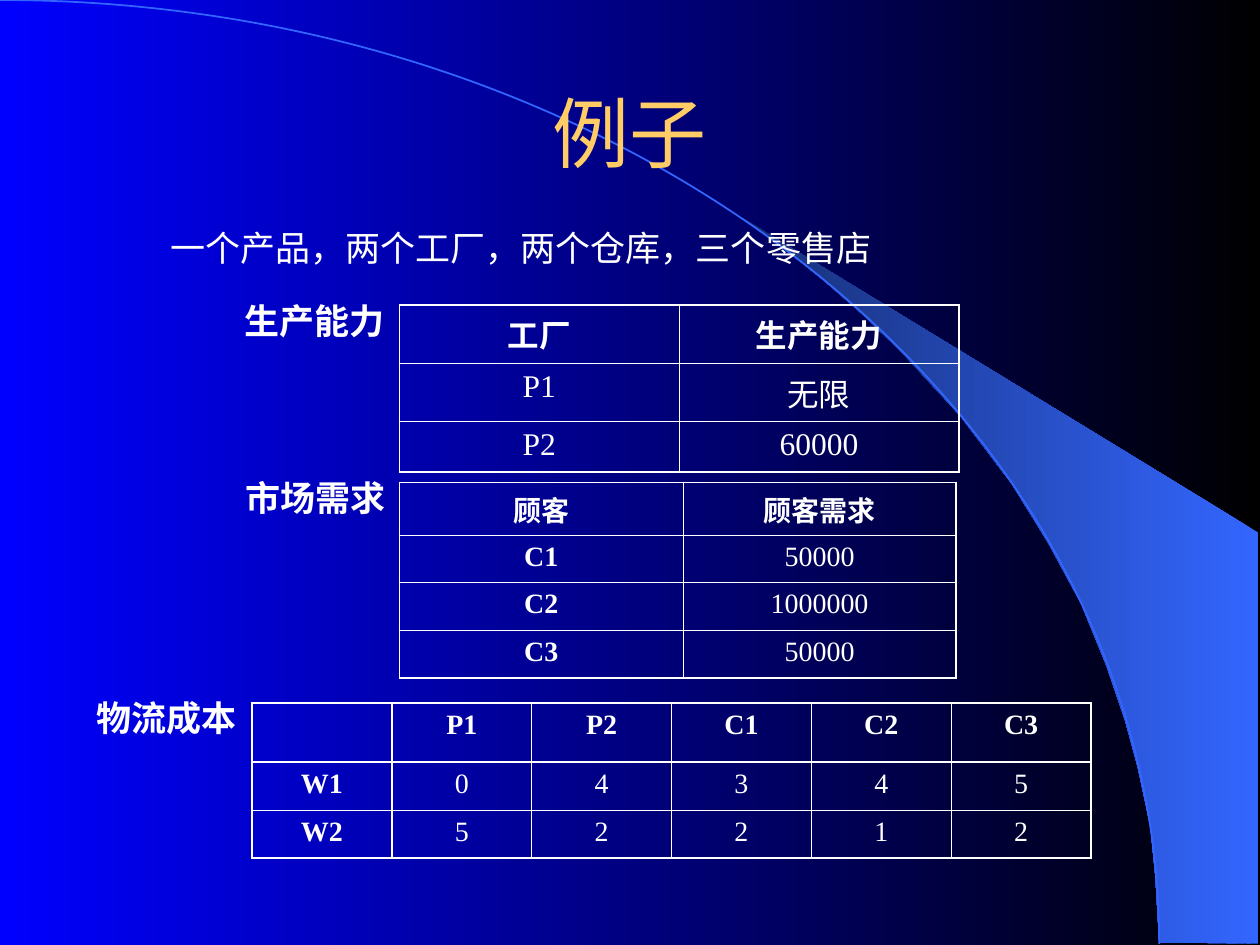
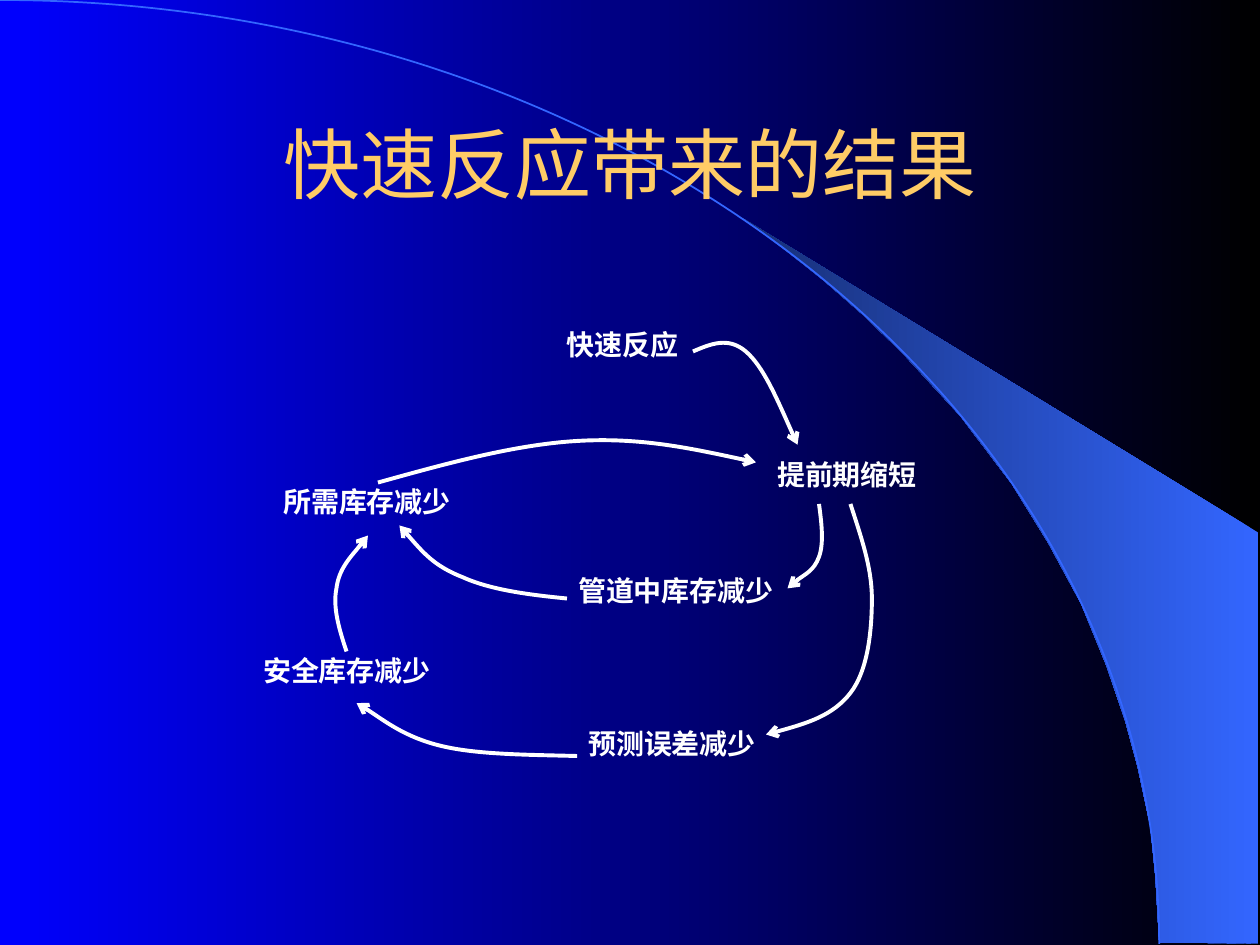
from lxml import etree
from pptx import Presentation
from pptx.dml.color import RGBColor
from pptx.enum.text import MSO_ANCHOR, MSO_AUTO_SIZE, PP_ALIGN
from pptx.oxml.ns import qn
from pptx.util import Inches, Pt

CENTER, LEFT = PP_ALIGN.CENTER, PP_ALIGN.LEFT
MIDDLE = MSO_ANCHOR.MIDDLE
GROW = MSO_AUTO_SIZE.SHAPE_TO_FIT_TEXT

BLACK = RGBColor(0x00, 0x00, 0x00)
BLUE = RGBColor(0x00, 0x00, 0xFF)
SKY = RGBColor(0x33, 0x66, 0xFF)
NAVY = RGBColor(0x17, 0x2F, 0x75)
GOLD = RGBColor(0xFF, 0xCC, 0x66)
WHITE = RGBColor(0xFF, 0xFF, 0xFF)

SERIF = "Times New Roman"
TITLE_FORMAT = {"name": "Arial", "size": Pt(44), "bold": False}
THICK, THIN = Pt(1.08), Pt(0.45)
INSET = 0.1

# Shared decoration, in inches
WEDGE = [(9.2, 7.48), (9.99, 7.49), (9.99, 4.23), (5.89, 1.73), (6.24, 1.99),
         (6.53, 2.22), (6.85, 2.5), (7.16, 2.8), (7.62, 3.3), (8.03, 3.84),
         (8.32, 4.31), (8.58, 4.79), (8.78, 5.28), (8.93, 5.72), (9.03, 6.09),
         (9.13, 6.56), (9.17, 6.96)]
ARC = [(0, 0), (5.08, 0), (9.2, 3.35), (9.2, 7.49)]

# Slide 1: example data; heavy_* number the heavy grid lines from 0
EXAMPLE_TITLE = "例子"
EXAMPLE_INTRO = "一个产品，两个工厂，两个仓库，三个零售店"
TABLES = [
    {"label": "生产能力", "label_at": (1.84, 2.33), "at": (3.17, 2.42), "size": 18,
     "columns": [2.22, 2.22], "rows": [0.46, 0.46, 0.4],
     "heavy_columns": (0, 2), "heavy_rows": (0, 3), "bold_columns": (),
     "cells": [["工厂", "生产能力"], ["P1", "无限"], ["P2", "60000"]]},
    {"label": "市场需求", "label_at": (1.85, 3.73), "at": (3.17, 3.83), "size": 16,
     "columns": [2.25, 2.17], "rows": [0.42, 0.37, 0.38, 0.38],
     "heavy_columns": (0, 2), "heavy_rows": (0, 4), "bold_columns": (0,),
     "cells": [["顾客", "顾客需求"], ["C1", "50000"], ["C2", "1000000"], ["C3", "50000"]]},
    {"label": "物流成本", "label_at": (0.67, 5.48), "at": (2, 5.58), "size": 16,
     "columns": [1.11] * 6, "rows": [0.47, 0.38, 0.38],
     "heavy_columns": (0, 1, 3, 6), "heavy_rows": (0, 1, 3), "bold_columns": (0,),
     "cells": [["", "P1", "P2", "C1", "C2", "C3"],
               ["W1", "0", "4", "3", "4", "5"],
               ["W2", "5", "2", "2", "1", "2"]]},
]

# Slide 2: loop diagram; each arrow is a start point, then two controls and an end per curve
LOOP_TITLE = "快速反应带来的结果"
LOOP_LABELS = {
    "快速反应": (4.4, 2.55), "提前期缩短": (6.07, 3.58), "管道中库存减少": (4.49, 4.5),
    "预测误差减少": (4.57, 5.72), "安全库存减少": (1.99, 5.14), "所需库存减少": (2.15, 3.8),
}
LOOP_ARROWS = [
    [(5.5, 2.79), (5.64, 2.73), (5.78, 2.67), (5.92, 2.79),
     (6.06, 2.91), (6.19, 3.22), (6.33, 3.53)],
    [(6.75, 4), (6.83, 4.25), (6.92, 4.5), (6.92, 4.75), (6.92, 5), (6.89, 5.32),
     (6.75, 5.5), (6.61, 5.68), (6.35, 5.76), (6.08, 5.83)],
    [(6.5, 4), (6.52, 4.15), (6.54, 4.31), (6.5, 4.42),
     (6.46, 4.53), (6.29, 4.62), (6.25, 4.67)],
    [(4.58, 6), (4.19, 5.99), (3.79, 5.99), (3.5, 5.92),
     (3.21, 5.85), (2.94, 5.64), (2.83, 5.58)],
    [(4.5, 4.75), (4.19, 4.72), (3.89, 4.68), (3.67, 4.58),
     (3.44, 4.49), (3.31, 4.33), (3.17, 4.17)],
    [(2.75, 5.17), (2.69, 4.99), (2.64, 4.82), (2.67, 4.67),
     (2.69, 4.51), (2.87, 4.32), (2.92, 4.25)],
    [(3, 3.83), (3.54, 3.68), (4.08, 3.53), (4.58, 3.5),
     (5.08, 3.47), (5.54, 3.57), (6, 3.67)],
]


def serif(size, bold=False):
    return {"name": SERIF, "size": Pt(size), "bold": bold}


def write(text_frame, text, font_format, color=WHITE, align=LEFT):
    paragraph = text_frame.paragraphs[0]
    paragraph.alignment = align
    paragraph.space_before = Pt(0)
    run = paragraph.add_run()
    run.text = text
    for name, value in font_format.items():
        setattr(run.font, name, value)
    run.font.color.rgb = color
    return paragraph


def place(shape, left, top, width, height):
    box = {"left": left, "top": top, "width": width, "height": height}
    for name, value in box.items():
        setattr(shape, name, Inches(value))


def fill_gradient(fill, first, last):
    fill.gradient()
    fill.gradient_angle = 180
    for stop, color, position in zip(fill.gradient_stops, (first, last), (0, 1)):
        stop.color.rgb = color
        stop.position = position


def add_outline(slide, points, close=False):
    scaled = [(Inches(x), Inches(y)) for x, y in points]
    builder = slide.shapes.build_freeform(*scaled[0])
    builder.add_line_segments(scaled[1:], close=close)
    shape = builder.convert_to_shape()
    shape.shadow.inherit = False
    return shape


def add_curve(slide, points, color, width):
    """Draw the points as an open line, then join every three segments into a Bézier."""
    shape = add_outline(slide, points)
    segments = list(shape._element.iter(qn("a:lnTo")))
    for start in range(0, len(segments), 3):
        curve = etree.Element(qn("a:cubicBezTo"))
        segments[start].addprevious(curve)
        for segment in segments[start:start + 3]:
            curve.append(segment[0])
            segment.getparent().remove(segment)
    shape.fill.background()
    shape.line.color.rgb = color
    shape.line.width = Pt(width)
    return shape


def add_label(slide, text, at, size):
    width = len(text) * size / 72 + 2 * INSET
    height = 1.2 * size / 72 + INSET
    box = slide.shapes.add_textbox(*map(Inches, (*at, width, height)))
    box.text_frame.word_wrap = False
    box.text_frame.auto_size = GROW
    write(box.text_frame, text, serif(size, True))


def set_border(cell, side, width):
    properties = cell._tc.get_or_add_tcPr()
    line = etree.SubElement(properties, qn(f"a:ln{side}"), w=str(int(width)))
    fill = etree.SubElement(line, qn("a:solidFill"))
    etree.SubElement(fill, qn("a:srgbClr"), val=str(WHITE))


def add_grid(slide, spec_table):
    columns, rows = spec_table["columns"], spec_table["rows"]
    frame = slide.shapes.add_table(
        len(rows), len(columns),
        *map(Inches, (*spec_table["at"], sum(columns), sum(rows))))
    table = frame.table
    table.first_row = table.horz_banding = False
    for column, width in zip(table.columns, columns):
        column.width = Inches(width)
    for row, height in zip(table.rows, rows):
        row.height = Inches(height)
    for r, values in enumerate(spec_table["cells"]):
        for c, value in enumerate(values):
            cell = table.cell(r, c)
            edges = [("L", c, "heavy_columns"), ("R", c + 1, "heavy_columns"),
                     ("T", r, "heavy_rows"), ("B", r + 1, "heavy_rows")]
            for side, index, heavy in edges:
                set_border(cell, side, THICK if index in spec_table[heavy] else THIN)
            cell.fill.background()
            if value:
                bold = r == 0 or c in spec_table["bold_columns"]
                write(cell.text_frame, value, serif(spec_table["size"], bold), align=CENTER)


def add_slide(presentation, layout_index, title, top):
    slide = presentation.slides.add_slide(presentation.slide_layouts[layout_index])
    place(slide.shapes.title, 0.75, top, 8.5, 1.25)
    slide.shapes.title.text_frame.vertical_anchor = MIDDLE
    write(slide.shapes.title.text_frame, title, TITLE_FORMAT, GOLD, CENTER)
    return slide


def decorate_master(presentation, slide):
    """Draw the wedge and arc, then hand them to the master behind its placeholders."""
    master = presentation.slide_master
    fill_gradient(master.background.fill, BLACK, BLUE)
    wedge = add_outline(slide, WEDGE, close=True)
    fill_gradient(wedge.fill, SKY, NAVY)
    wedge.line.fill.background()
    arc = add_curve(slide, ARC, SKY, 1)
    for position, shape in enumerate((wedge, arc), start=2):
        master.shapes._spTree.insert(position, shape._element)


def build_example(presentation):
    slide = add_slide(presentation, 1, EXAMPLE_TITLE, 0.42)
    body = slide.placeholders[1]
    place(body, 0.75, 1.75, 8.5, 4.5)
    paragraph = write(body.text_frame, EXAMPLE_INTRO, serif(20))
    properties = paragraph._p.get_or_add_pPr()
    properties.set("marL", str(Inches(0.81)))
    properties.set("indent", str(Inches(-0.31)))
    etree.SubElement(properties, qn("a:buNone"))
    for table in TABLES:
        add_grid(slide, table)
        add_label(slide, table["label"], table["label_at"], 20)
    return slide


def build_loop(presentation):
    slide = add_slide(presentation, 5, LOOP_TITLE, 0.67)
    for text, at in LOOP_LABELS.items():
        add_label(slide, text, at, 16)
    for points in LOOP_ARROWS:
        arrow = add_curve(slide, points, WHITE, 2.25)
        etree.SubElement(arrow.line._get_or_add_ln(), qn("a:tailEnd"), type="arrow")


def main():
    presentation = Presentation()
    presentation.slide_width, presentation.slide_height = Inches(10), Inches(7.5)
    example = build_example(presentation)
    decorate_master(presentation, example)
    build_loop(presentation)
    presentation.save("out.pptx")


if __name__ == "__main__":
    main()
